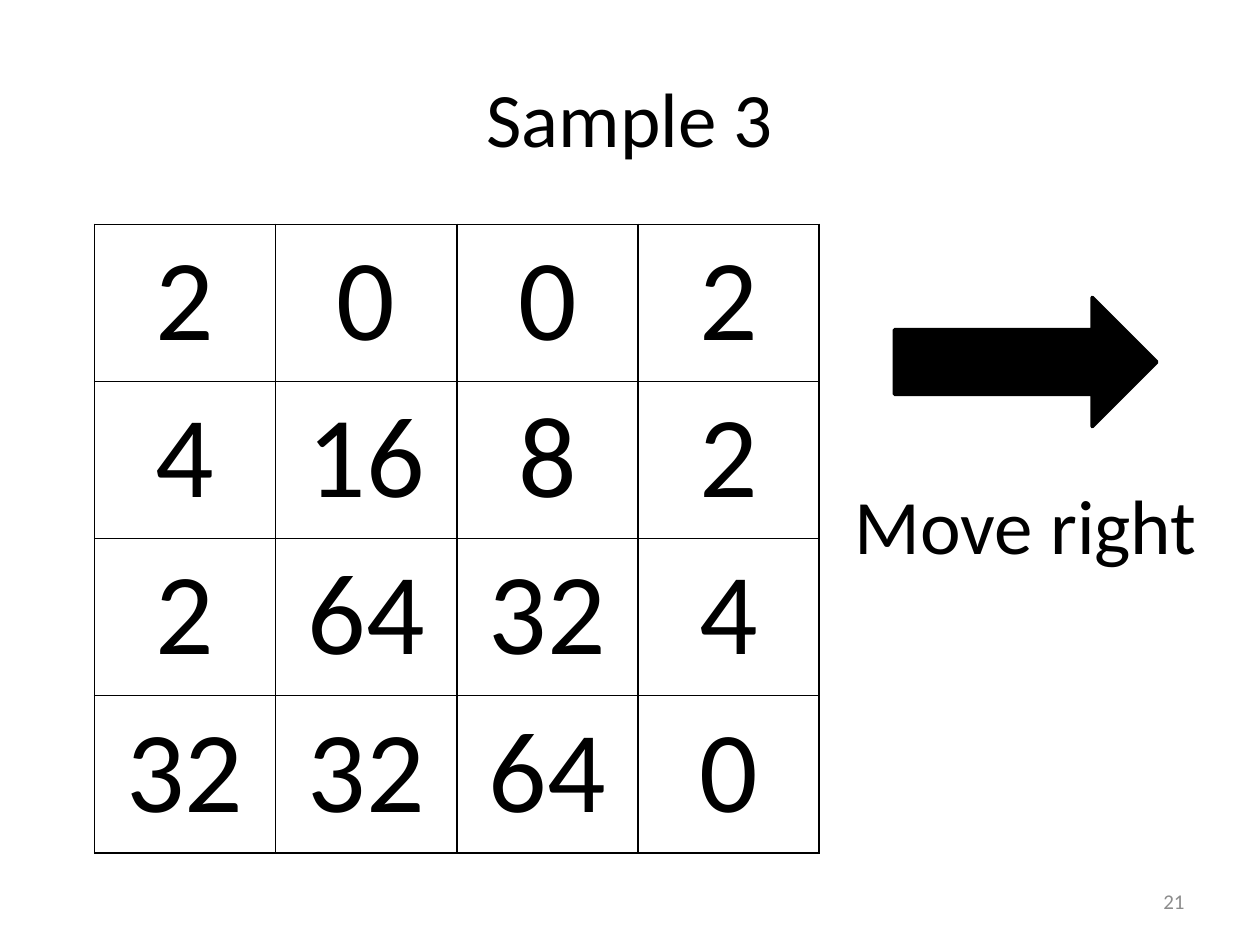
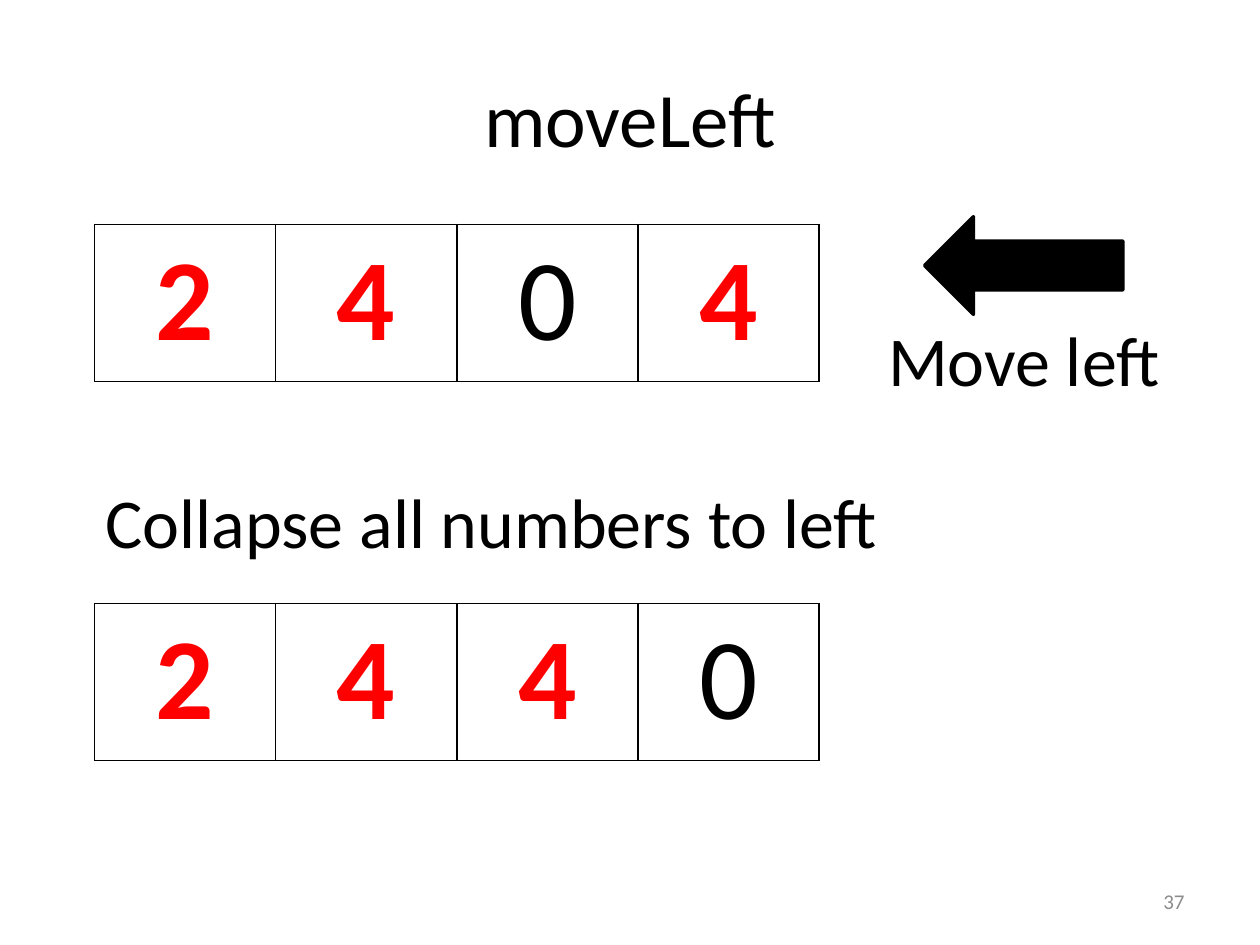
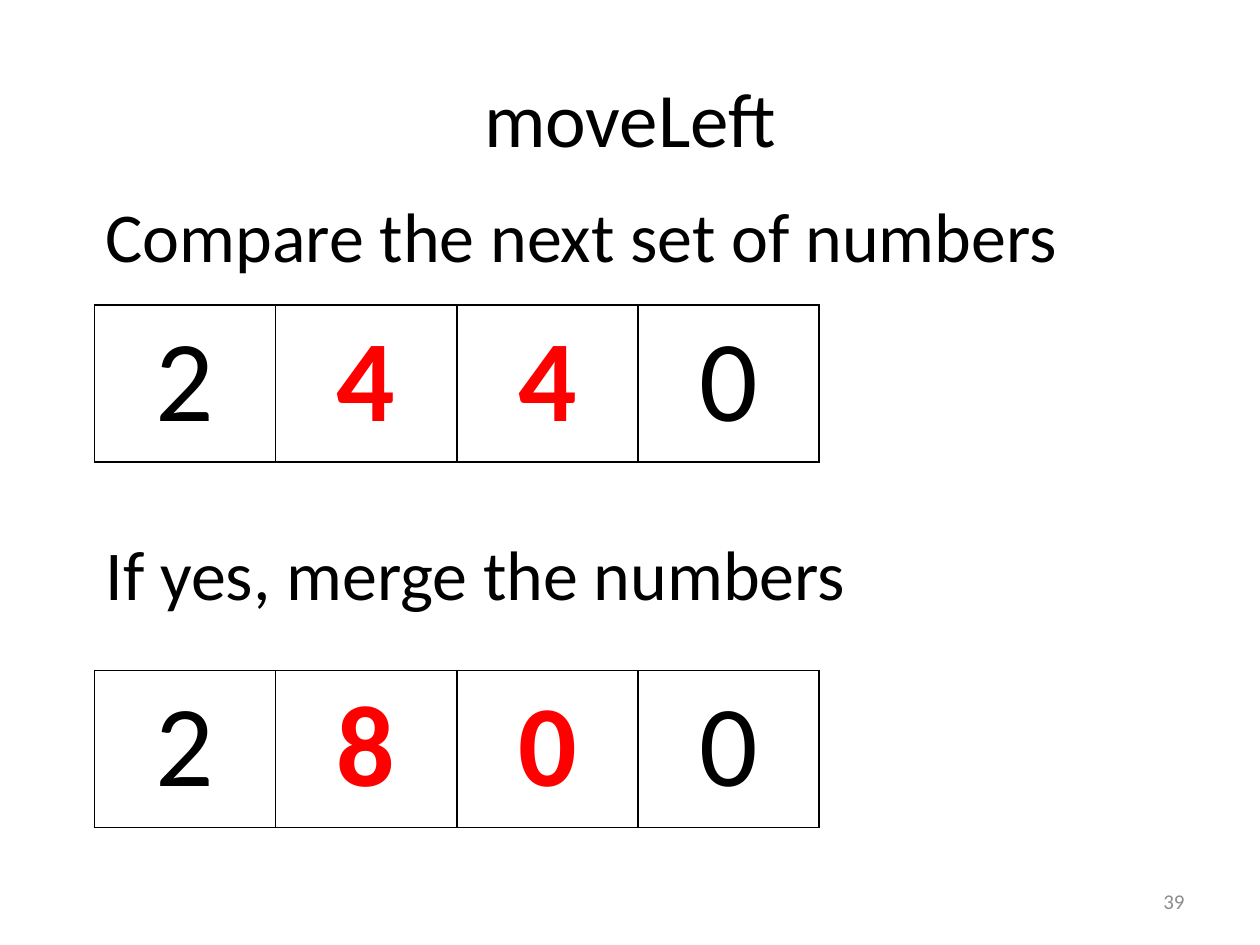
from dataclasses import dataclass

from lxml import etree
from pptx import Presentation
from pptx import util as u
from pptx.dml.color import RGBColor
from pptx.enum import shapes, text
from pptx.oxml import ns


@dataclass(frozen=True)
class Theme:
    font: str = "Calibri"
    ink: str = "000000"
    hot: str = "FF0000"
    paper: str = "FFFFFF"
    gray: str = "8C8C8C"
    title: int = 44
    step: int = 40
    tile: int = 66
    page: int = 12


@dataclass(frozen=True)
class Box:
    """A rectangle in inches, cut into smaller ones by shares of its size."""
    x: float
    y: float
    w: float
    h: float

    def cut(self, x, y, w, h):
        return Box(self.x + x * self.w, self.y + y * self.h, w * self.w, h * self.h)

    def pct(self, *shares):
        return self.cut(*(s / 100 for s in shares))

    @property
    def emu(self):
        return [u.Inches(v) for v in (self.x, self.y, self.w, self.h)]


T = Theme()
PAGE = Box(0, 0, 10, 7.5)
LEFT, MARGIN = 7.5, 7.4         # board and step text, percent of width
COL, ROW = 14.38, 16.63         # one tile, percent of the slide
TOP, MID = 23.73, 50            # first board and middle line, percent of height
ALIGN, ANCHOR = text.PP_ALIGN, text.MSO_ANCHOR


def style(frame, words, size, color=T.ink, align=ALIGN.CENTER, bold=False):
    frame.text = words
    para = frame.paragraphs[0]
    para.alignment = align
    font = para.runs[0].font
    font.name, font.size, font.bold = T.font, u.Pt(size), bold
    font.color.rgb = RGBColor.from_string(color)


def write(slide, box, words, size, color=T.ink, align=ALIGN.LEFT, anchor=ANCHOR.TOP):
    frame = slide.shapes.add_textbox(*box.emu).text_frame
    frame.word_wrap = True
    frame.vertical_anchor = anchor
    style(frame, words, size, color, align)


def start(deck, title, page):
    """Add a slide with its title and page number."""
    slide = deck.slides.add_slide(deck.slide_layouts[5])
    head = slide.shapes.title
    head.left, head.top, head.width, head.height = PAGE.pct(5, 4, 90, 16.67).emu
    head.text_frame.vertical_anchor = ANCHOR.MIDDLE
    style(head.text_frame, title, T.title)
    write(slide, PAGE.pct(71.7, 92.67, 23.3, 5.33), str(page), T.page,
          T.gray, ALIGN.RIGHT, ANCHOR.MIDDLE)
    return slide


def edge(cell):
    props = cell._tc.get_or_add_tcPr()
    for side in "LRTB":
        line = etree.SubElement(props, ns.qn(f"a:ln{side}"), w=str(u.Pt(1)))
        fill = etree.SubElement(line, ns.qn("a:solidFill"))
        etree.SubElement(fill, ns.qn("a:srgbClr"), val=T.ink)


def board(slide, top, rows, hot=()):
    """Draw rows of tiles, with the columns in hot picked out."""
    wide, high = len(rows[0]), len(rows)
    box = PAGE.pct(LEFT, top, wide * COL, high * ROW)
    table = slide.shapes.add_table(high, wide, *box.emu).table
    table.first_row = table.horz_banding = False
    for r, row in enumerate(rows):
        for c, value in enumerate(row):
            cell = table.cell(r, c)
            edge(cell)
            cell.fill.solid()
            cell.fill.fore_color.rgb = RGBColor.from_string(T.paper)
            lit = c in hot
            style(cell.text_frame, str(value), T.tile, T.hot if lit else T.ink, bold=lit)


def step(slide, top, words, width):
    write(slide, PAGE.pct(MARGIN, top, width, 10.27), words, T.step)


def cue(slide, box, words, size, head, foot, turn=0):
    """Put an arrow in the top share of the box and its label in the bottom share."""
    tall = head * box.h
    wide = 2.03 * tall / box.w
    spot = box.cut((1 - wide) / 2, 0, wide, head)
    arrow = slide.shapes.add_shape(shapes.MSO_SHAPE.RIGHT_ARROW, *spot.emu)
    arrow.rotation = turn
    arrow.shadow.inherit = False
    arrow.fill.solid()
    arrow.fill.fore_color.rgb = arrow.line.color.rgb = RGBColor.from_string(T.ink)
    arrow.line.width = u.Pt(2)
    write(slide, box.cut(0, 1 - foot, 1, foot), words, size, align=ALIGN.CENTER)


def sample(deck):
    slide = start(deck, "Sample 3", 21)
    board(slide, TOP, [[2, 0, 0, 2], [4, 16, 8, 2], [2, 64, 32, 4], [32, 32, 64, 0]])
    cue(slide, PAGE.pct(66.4, 31.47, 30, 29.73), "Move right", T.title, 0.46, 0.38)


def collapse(deck):
    slide = start(deck, "moveLeft", 37)
    board(slide, TOP, [[2, 4, 0, 4]], hot=(0, 1, 3))
    cue(slide, PAGE.pct(68.2, 22.93, 26.1, 20.27), "Move left", T.step, 0.51, 0.51, 180)
    step(slide, MID, "Collapse all numbers to left", 64.7)
    board(slide, 63.87, [[2, 4, 4, 0]], hot=(0, 1, 2))


def merge(deck):
    slide = start(deck, "moveLeft", 39)
    step(slide, 19.73, "Compare the next set of numbers", 82.8)
    board(slide, 32.27, [[2, 4, 4, 0]], hot=(1, 2))
    step(slide, 55.47, "If yes, merge the numbers", 92.6)
    board(slide, 70.93, [[2, 8, 0, 0]], hot=(1, 2))


def main():
    deck = Presentation()
    deck.slide_width, deck.slide_height = PAGE.emu[2:]
    for build in (sample, collapse, merge):
        build(deck)
    deck.save("out.pptx")


if __name__ == "__main__":
    main()
